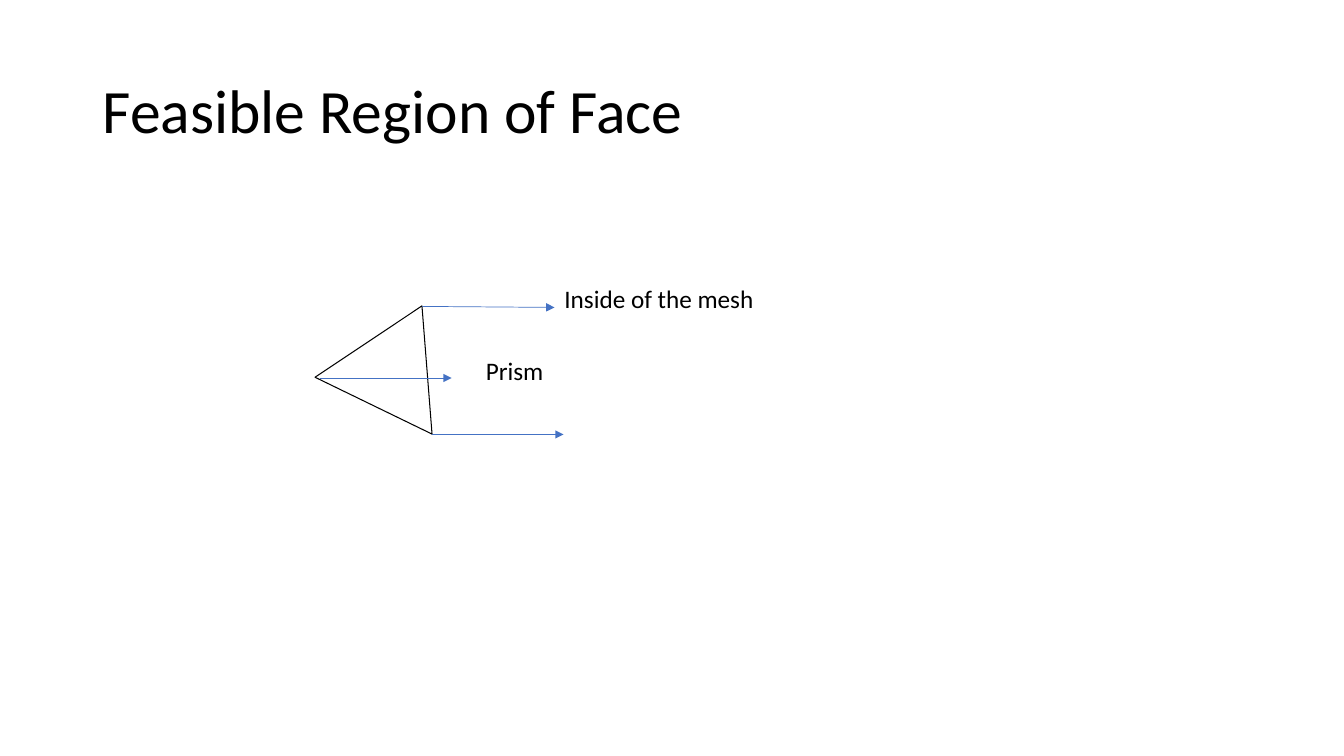
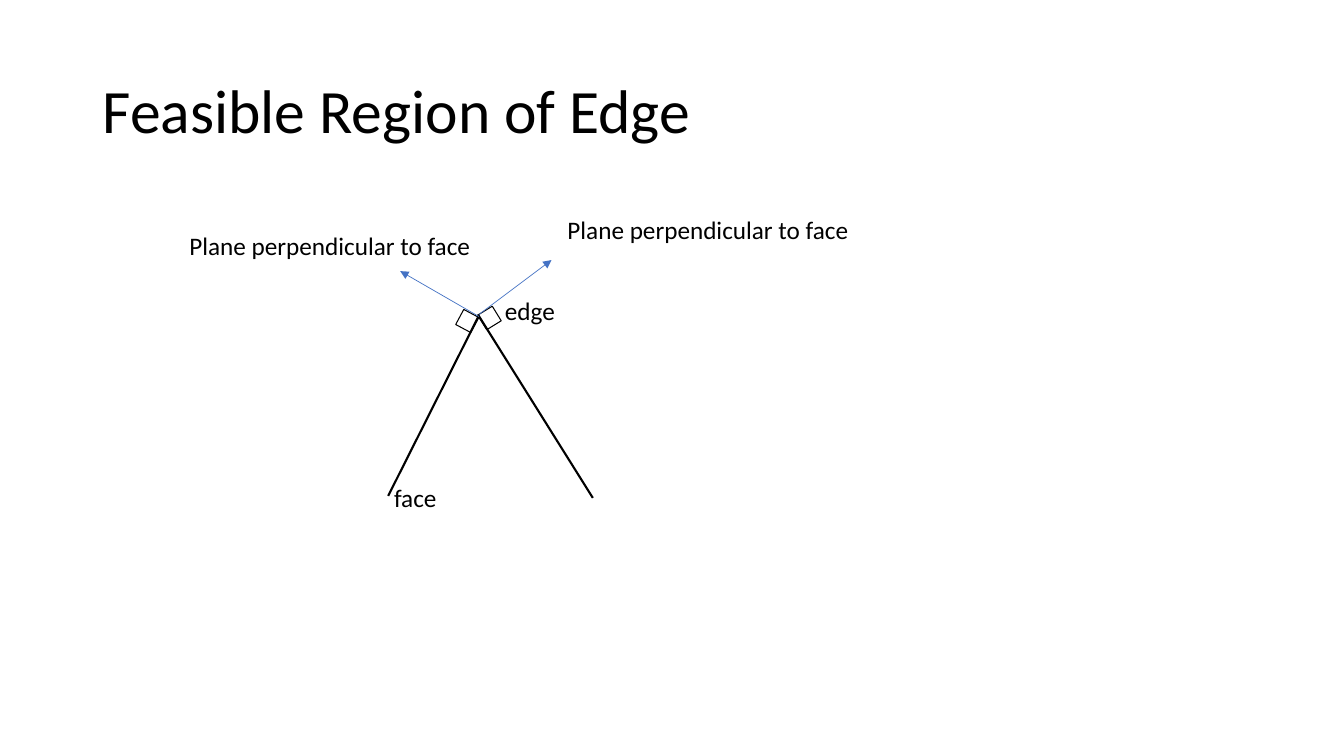
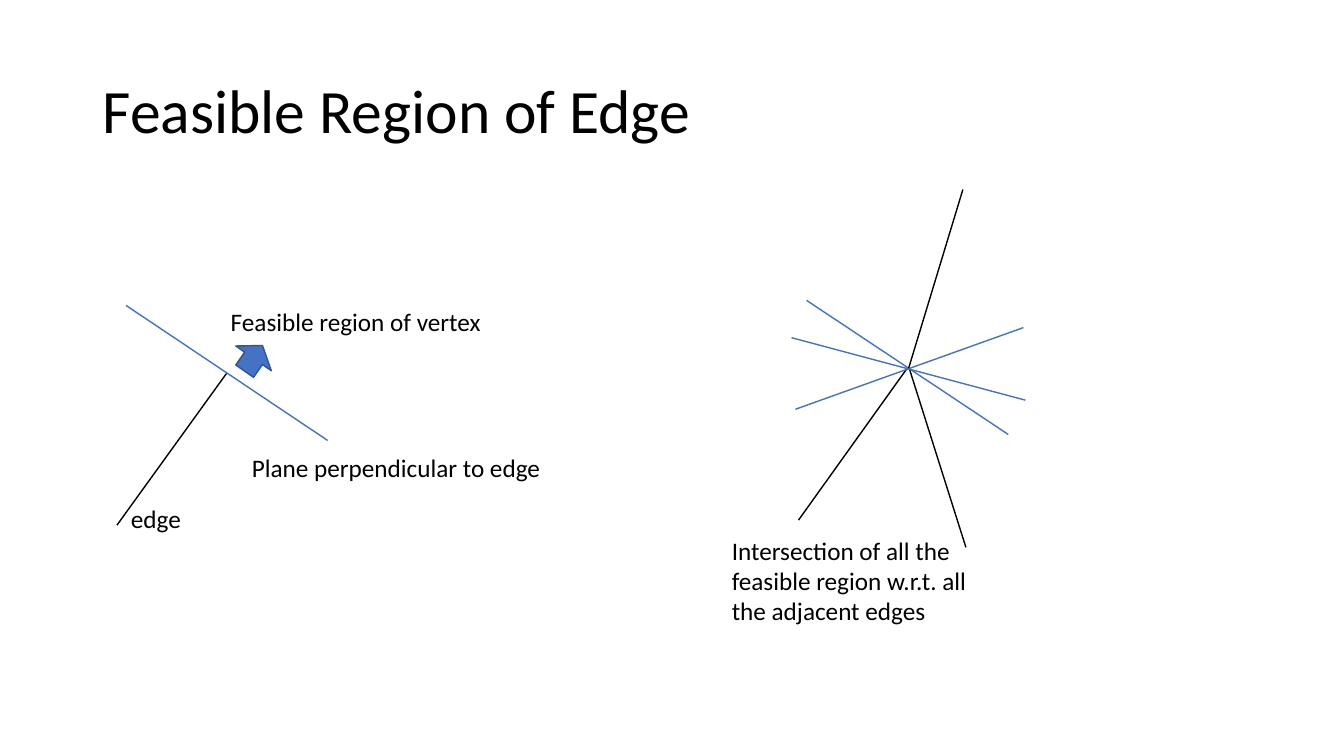
"""Builds three slides on the feasible regions of a face, an edge and a vertex."""
from lxml import etree
from pptx import Presentation
from pptx.dml.color import RGBColor
from pptx.enum.shapes import MSO_CONNECTOR, MSO_SHAPE
from pptx.enum.text import MSO_ANCHOR, MSO_AUTO_SIZE
from pptx.oxml.ns import qn
from pptx.util import Inches, Pt

STRAIGHT = MSO_CONNECTOR.STRAIGHT
TRIANGLE, SQUARE, ARROW = MSO_SHAPE.ISOSCELES_TRIANGLE, MSO_SHAPE.RECTANGLE, MSO_SHAPE.RIGHT_ARROW
MIDDLE, TOP = MSO_ANCHOR.MIDDLE, MSO_ANCHOR.TOP
FIT, FIXED = MSO_AUTO_SIZE.SHAPE_TO_FIT_TEXT, MSO_AUTO_SIZE.NONE

FONT, BLACK, BLUE, NAVY = "Calibri", "000000", "4472C4", "325491"
TITLE_BOX = (0.92, 0.4, 11.5, 1.45)
LABEL_HEIGHT = 0.4

NORMAL = dict(color=BLUE, width=0.5, arrow=True)
FACE = dict(color=BLACK, width=1.5)
EDGE = dict(color=BLACK, width=1)
PLANE = dict(color=BLUE, width=1)

SLIDES = [
    dict(
        title="Feasible Region of Face",
        shapes=[(TRIANGLE, (3.3, 2.98, 1.29, 1.1), 25.9, None, BLACK, 0.75)],
        lines=[
            ((4.19, 3.04), (5.5, 3.05), NORMAL),
            ((4.28, 4.31), (5.59, 4.31), NORMAL),
            ((3.17, 3.75), (4.48, 3.75), NORMAL),
        ],
        labels=[("Prism", 4.72, 3.48, 0.78), ("Inside of the mesh", 5.5, 2.76, 2.1)],
    ),
    dict(
        title="Feasible Region of Edge",
        lines=[
            ((4.75, 3.13), (3.85, 4.92), FACE),
            ((4.74, 3.12), (5.88, 4.94), FACE),
            ((4.75, 3.12), (5.47, 2.58), NORMAL),
            ((4.75, 3.14), (3.97, 2.69), NORMAL),
        ],
        shapes=[
            (SQUARE, (4.55, 3.1, 0.17, 0.17), 28.1, None, BLACK, 0.75),
            (SQUARE, (4.77, 3.07, 0.17, 0.17), 58.3, None, BLACK, 0.75),
        ],
        labels=[
            ("face", 3.81, 4.74, 0.63),
            ("edge", 4.91, 2.88, 0.7),
            ("Plane perpendicular to face", 1.78, 2.24, 3.08),
            ("Plane perpendicular to face", 5.53, 2.08, 3.08),
        ],
    ),
    dict(
        title="Feasible Region of Edge",
        edge_planes=[
            (((2.25, 3.7), (1.16, 5.21)), ((1.25, 3.03), (3.25, 4.37))),
            (((9, 3.65), (7.92, 5.16)), ((8, 2.98), (10, 4.31))),
            (((9.02, 3.66), (9.58, 5.43)), ((7.89, 4.06), (10.15, 3.25))),
            (((9.01, 3.66), (9.55, 1.88)), ((10.17, 3.97), (7.85, 3.35))),
        ],
        shapes=[(ARROW, (2.36, 3.34, 0.31, 0.43), 304.8, BLUE, NAVY, 1)],
        labels=[
            ("edge", 1.2, 4.94, 0.7),
            ("Plane perpendicular to edge", 2.4, 4.44, 3.1),
            ("Feasible region of vertex", 2.19, 2.99, 2.71),
        ],
        paragraph=("Intersection of all the feasible region w.r.t. all the adjacent edges",
                   (7.16, 5.26, 2.61, 1.01)),
    ),
]


def rgb(color):
    return RGBColor.from_string(color)


def add_text(slide, text, box, size=18, wrap=False, anchor=TOP, fit=FIT, spacing=1.0):
    frame = slide.shapes.add_textbox(*map(Inches, box)).text_frame
    frame.text = text
    frame.word_wrap, frame.vertical_anchor, frame.auto_size = wrap, anchor, fit
    paragraph = frame.paragraphs[0]
    paragraph.line_spacing = spacing
    font = paragraph.runs[0].font
    font.name, font.size, font.color.rgb = FONT, Pt(size), rgb(BLACK)


def add_line(shapes, start, end, color, width, arrow=False):
    connector = shapes.add_connector(STRAIGHT, *map(Inches, start + end))
    connector.line.color.rgb = rgb(color)
    connector.line.width = Pt(width)
    if arrow:
        etree.SubElement(connector.line._get_or_add_ln(), qn("a:tailEnd"), type="triangle")
    etree.SubElement(connector._element.spPr, qn("a:effectLst"))


def add_outline(slide, kind, box, rotation, fill, color, width):
    shape = slide.shapes.add_shape(kind, *map(Inches, box))
    shape.rotation = rotation
    shape.shadow.inherit = False
    if fill:
        shape.fill.solid()
        shape.fill.fore_color.rgb = rgb(fill)
    else:
        shape.fill.background()
    shape.line.color.rgb = rgb(color)
    shape.line.width = Pt(width)


def build_slide(deck, content):
    slide = deck.slides.add_slide(deck.slide_layouts[6])
    add_text(slide, content["title"], TITLE_BOX, 44, True, MIDDLE, FIXED, 0.9)
    for outline in content["shapes"]:
        add_outline(slide, *outline)
    for start, end, style in content.get("lines", []):
        add_line(slide.shapes, start, end, **style)
    for edge, plane in content.get("edge_planes", []):
        pair = slide.shapes.add_group_shape().shapes
        add_line(pair, *edge, **EDGE)
        add_line(pair, *plane, **PLANE)
    for text, left, top, width in content["labels"]:
        add_text(slide, text, (left, top, width, LABEL_HEIGHT))
    if "paragraph" in content:
        add_text(slide, *content["paragraph"], wrap=True)


def main():
    deck = Presentation()
    deck.slide_width, deck.slide_height = Inches(13.33), Inches(7.5)
    for content in SLIDES:
        build_slide(deck, content)
    deck.save("out.pptx")


if __name__ == "__main__":
    main()
